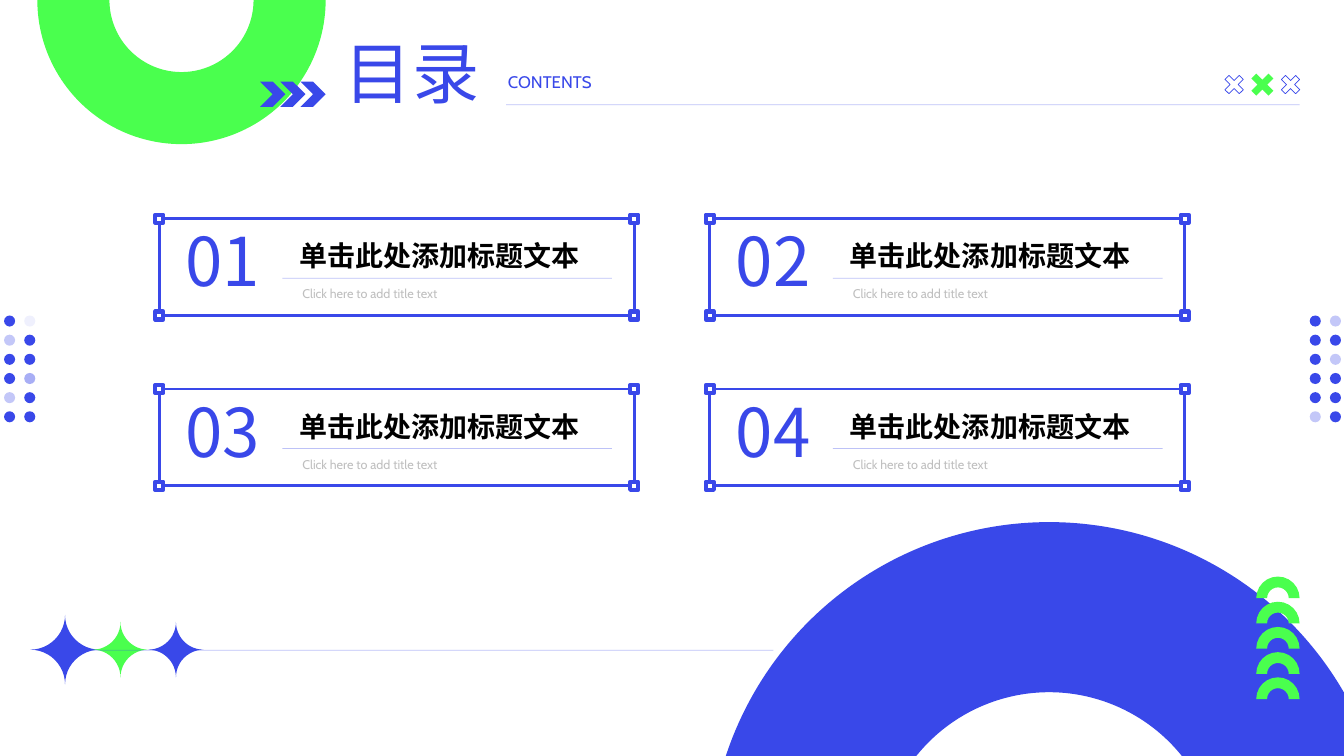
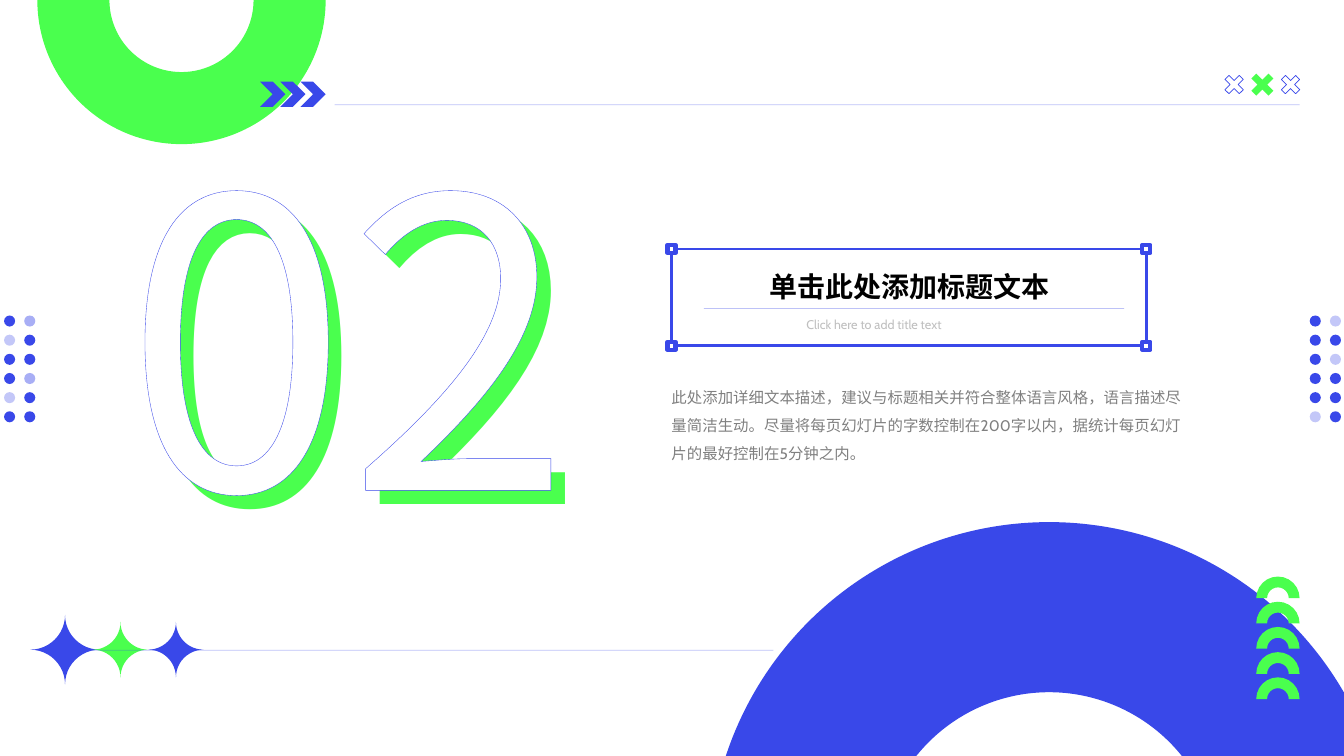
import pptx
import pptx.dml.color
import pptx.enum.shapes
import pptx.enum.text
import pptx.oxml.ns
import pptx.util
from lxml import etree

Inches = pptx.util.Inches
Pt = pptx.util.Pt
RGBColor = pptx.dml.color.RGBColor
MSO_SHAPE = pptx.enum.shapes.MSO_SHAPE
PP_ALIGN = pptx.enum.text.PP_ALIGN
MSO_AUTO_SIZE = pptx.enum.text.MSO_AUTO_SIZE
qn = pptx.oxml.ns.qn

BLUE = RGBColor(0x39, 0x48, 0xE9)
GREEN = RGBColor(0x4A, 0xFF, 0x4E)
WHITE = RGBColor(0xFF, 0xFF, 0xFF)
BLACK = RGBColor(0, 0, 0)
GRAY = RGBColor(0x80, 0x80, 0x80)
LIGHT_GRAY = RGBColor(0xBF, 0xBF, 0xBF)
CABIN = "Cabin"
NOTO = "Noto Sans CJK SC"


def add_text(slide, words, box, size, color=None, font=CABIN, bold=False,
             align=PP_ALIGN.LEFT, wrap=True, spacing=1.0, outline=None, holder=None):
    """Write words in a placeholder or a new text box; outline is (colour, points)."""
    sp = holder or slide.shapes.add_textbox(0, 0, 0, 0)
    sp.left, sp.top, sp.width, sp.height = [Inches(v) for v in box]
    tf = sp.text_frame
    tf.word_wrap = wrap
    tf.auto_size = MSO_AUTO_SIZE.SHAPE_TO_FIT_TEXT
    tf.vertical_anchor = pptx.enum.text.MSO_ANCHOR.TOP
    p = tf.paragraphs[0]
    p.alignment = align
    p.line_spacing = spacing
    p.space_before = Pt(0)
    r = p.add_run()
    r.text = words
    r.font.size = Pt(size)
    r.font.bold = bold
    r.font.name = font
    if color is None:
        r.font.fill.background()
    else:
        r.font.color.rgb = color
    rPr = r.font._element
    etree.SubElement(rPr, qn("a:ea")).set("typeface", NOTO)
    if outline:
        ln = etree.Element(qn("a:ln"), w=str(Pt(outline[1])))
        fill = etree.SubElement(ln, qn("a:solidFill"))
        etree.SubElement(fill, qn("a:srgbClr")).set("val", str(outline[0]))
        rPr.insert(0, ln)
    return sp


def add_shape(slide, kind, box, fill=None, line=None, width=0.5, alpha=100,
              rotation=0, adjust=()):
    sp = slide.shapes.add_shape(kind, *[Inches(v) for v in box])
    sp.shadow.inherit = False
    sp.rotation = rotation
    for i, value in enumerate(adjust):
        sp.adjustments[i] = value
    if fill is None:
        sp.fill.background()
    else:
        sp.fill.solid()
        sp.fill.fore_color.rgb = fill
    if line is None:
        sp.line.fill.background()
    else:
        sp.line.color.rgb = line
        sp.line.width = Pt(width)
    if alpha < 100:
        clr = sp._element.spPr.find(".//" + qn("a:srgbClr"))
        etree.SubElement(clr, qn("a:alpha")).set("val", str(alpha * 1000))


prs = pptx.Presentation()
prs.slide_width = Inches(13.33)
prs.slide_height = Inches(7.5)
contents = prs.slides.add_slide(prs.slide_layouts[5])
section = prs.slides.add_slide(prs.slide_layouts[1])

# Decoration on both slides; dots are (column, row): opacity
left_dots = {(0, 1): 30, (1, 3): 44, (0, 4): 30}
right_dots = {(1, 0): 30, (1, 2): 30, (0, 5): 30}
for s, first_dot in ((contents, 8), (section, 44)):
    # Big arcs
    add_shape(s, MSO_SHAPE.BLOCK_ARC, (7.03, 5.18, 6.75, 6.75), BLUE,
              adjust=(93.36, 16.9, 0.25))
    add_shape(s, MSO_SHAPE.BLOCK_ARC, (0.37, -1.43, 2.86, 2.86), GREEN, rotation=180)

    # Stacked arcs and chevrons
    for i in range(5):
        add_shape(s, MSO_SHAPE.BLOCK_ARC, (12.46, 5.72 + 0.25 * i, 0.43, 0.43), GREEN)
    for i in range(3):
        add_shape(s, MSO_SHAPE.CHEVRON, (2.58 + 0.2 * i, 0.81, 0.25, 0.25), BLUE)

    # Dot grids at both edges
    for x, faded in ((0.04, {**left_dots, (1, 0): first_dot}), (12.99, right_dots)):
        for row in range(6):
            for col in range(2):
                add_shape(s, MSO_SHAPE.OVAL, (x + 0.2 * col, 3.13 + 0.19 * row, 0.11, 0.11),
                          BLUE, alpha=faded.get((col, row), 100))

    # Crosses
    for x, y, size, fill, line in ((12.14, 0.74, 0.2, None, BLUE),
                                   (12.4, 0.72, 0.24, GREEN, None),
                                   (12.7, 0.74, 0.2, None, BLUE)):
        add_shape(s, MSO_SHAPE.CROSS, (x, y, size, size), fill, line,
                  rotation=45, adjust=(0.36,))

    # Stars
    for x, y, size, fill in ((0.3, 6.1, 0.69, BLUE), (1.47, 6.17, 0.55, BLUE),
                             (0.92, 6.17, 0.55, GREEN)):
        add_shape(s, MSO_SHAPE.PLAQUE, (x, y, size, size), fill, adjust=(0.5,))

# Contents heading
add_text(contents, "目录", (3.32, 0.26, 1.55, 0.91), 48, BLUE, font=NOTO, wrap=False,
         holder=contents.shapes.title)
add_text(contents, "CONTENTS", (4.94, 0.66, 2.13, 0.31), 12, BLUE, align=PP_ALIGN.JUSTIFY)

# Section number with an offset green copy behind
add_text(section, "02", (1.28, 0.97, 4.95, 4.93), 287, font=NOTO, wrap=False,
         outline=(GREEN, 1))
add_text(section, "02", (1.14, 0.83, 4.95, 4.93), 287, WHITE, font=NOTO, wrap=False,
         outline=(BLUE, 3))

# Section description
body = add_text(section, "此处添加详细文本描述，建议与标题相关并符合整体语言风格，语言描述尽量简洁生动。"
                "尽量将每页幻灯片的字数控制在200字以内，据统计每页幻灯片的最好控制在5分钟之内。",
                (6.56, 3.71, 5.28, 0.91), 11, GRAY, spacing=1.5,
                holder=section.placeholders[1])
pPr = body.text_frame.paragraphs[0]._p.get_or_add_pPr()
pPr.set("marL", "0")
pPr.set("indent", "0")
etree.SubElement(pPr, qn("a:buNone"))

# Rules: slide, left end, right end, height
rules = [(contents, 5.02, 12.89, 1.04), (section, 3.32, 12.89, 1.04),
         (contents, 0.48, 7.67, 6.45), (section, 0.48, 7.67, 6.45)]

# Framed cards: slide, left, top, number, then offsets of title, rule and subtitle
cards = [(contents, 1.58 + 5.46 * (i % 2), 2.17 + 1.69 * (i // 2), f"{i + 1:02d}",
          1.29, 1.22, 1.32) for i in range(4)]
cards.append((section, 6.66, 2.47, None, 0.87, 0.32, 1.24))
CARD_W, CARD_H, KNOB = 4.71, 0.96, 0.08
for s, x, y, number, title_dx, rule_dx, subtitle_dx in cards:
    add_shape(s, MSO_SHAPE.RECTANGLE, (x, y, CARD_W, CARD_H), line=BLUE, width=2)
    for knob_x in (x, x + CARD_W):
        for knob_y in (y, y + CARD_H):
            add_shape(s, MSO_SHAPE.RECTANGLE,
                      (knob_x - KNOB / 2, knob_y - KNOB / 2, KNOB, KNOB),
                      WHITE, BLUE, width=3)
    if number:
        add_text(s, number, (x + 0.16, y - 0.04, 1, 0.91), 48, BLUE, font=NOTO, wrap=False)
    add_text(s, "单击此处添加标题文本", (x + title_dx, y + 0.15, 3.09, 0.44), 20, BLACK,
             bold=True, holder=None if number else s.shapes.title)
    add_text(s, "Click here to add title text", (x + subtitle_dx, y + 0.62, 2.04, 0.25), 9,
             LIGHT_GRAY, align=PP_ALIGN.JUSTIFY)
    rules.append((s, x + rule_dx, x + 4.49, y + 0.59))

# Thin translucent rules
for s, x1, x2, y in rules:
    rule = s.shapes.add_connector(pptx.enum.shapes.MSO_CONNECTOR.STRAIGHT,
                                  Inches(x1), Inches(y), Inches(x2), Inches(y))
    rule.line.color.rgb = BLUE
    rule.line.width = Pt(0.5)
    spPr = rule._element.spPr
    etree.SubElement(spPr.find(".//" + qn("a:srgbClr")), qn("a:alpha")).set("val", "33000")
    etree.SubElement(spPr, qn("a:effectLst"))

prs.save("out.pptx")
